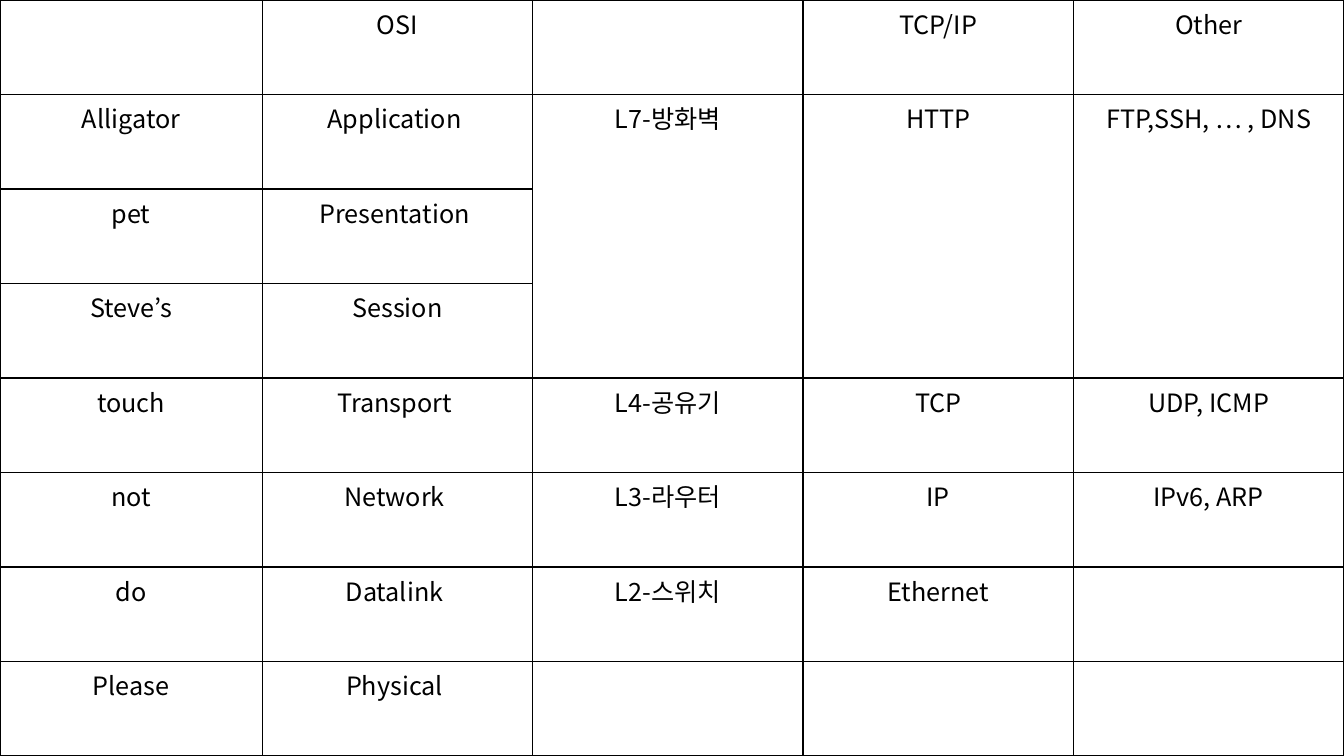
from lxml import etree
from pptx import Presentation
from pptx.dml.color import RGBColor
from pptx.enum.text import PP_ALIGN
from pptx.oxml.ns import qn
from pptx.util import Inches, Pt

CENTER = PP_ALIGN.CENTER
COLORS = {"ink": "000000", "paper": "FFFFFF"}
FONT = "Noto Sans CJK KR"
SIZE = 18
WIDE, HIGH = 13.33, 7.5
FIRST = 2.6
ROWS = [
    ("", "OSI", "", "TCP/IP", "Other"),
    ("Alligator", "Application ", "L7-방화벽", "HTTP", "FTP,SSH, … , DNS"),
    ("pet", "Presentation ", "", "", ""),
    ("Steve’s", "Session", "", "", ""),
    ("touch", "Transport ", "L4-공유기", "TCP", "UDP, ICMP"),
    ("not", "Network ", "L3-라우터", "IP", "IPv6, ARP"),
    ("do", "Datalink ", "L2-스위치", "Ethernet", ""),
    ("Please", "Physical ", "", "", ""),
]
TOP, END = 1, 3
MERGED = (2, 3, 4)


def add_edges(cell):
    """Draw a thin line on all four sides of a cell."""
    props = cell._tc.get_or_add_tcPr()
    for side in ("lnL", "lnR", "lnT", "lnB"):
        line = etree.SubElement(props, qn(f"a:{side}"), w=str(Pt(1)))
        fill = etree.SubElement(line, qn("a:solidFill"))
        etree.SubElement(fill, qn("a:srgbClr"), val=COLORS["ink"])


def set_text(cell, text):
    """Write centred text in a cell."""
    para = cell.text_frame.paragraphs[0]
    para.text = text
    para.alignment = CENTER
    for run in para.runs:
        run.font.size = Pt(SIZE)
        run.font.color.rgb = RGBColor.from_string(COLORS["ink"])
        run.font.name = FONT
        etree.SubElement(run._r.get_or_add_rPr(), qn("a:ea"), typeface=FONT)


def main():
    """Build the slide with the table of network layers."""
    deck = Presentation()
    deck.slide_width, deck.slide_height = Inches(WIDE), Inches(HIGH)
    slide = deck.slides.add_slide(deck.slide_layouts[6])
    count = len(ROWS[0])
    frame = slide.shapes.add_table(
        len(ROWS), count, 0, 0, Inches(WIDE), Inches(HIGH))
    table = frame.table
    table.first_row = table.horz_banding = False
    for num, col in enumerate(table.columns):
        col.width = Inches((WIDE - FIRST) / (count - 1) if num else FIRST)
    for row in table.rows:
        row.height = Inches(HIGH / len(ROWS))
    for row, texts in enumerate(ROWS):
        for col, text in enumerate(texts):
            cell = table.cell(row, col)
            add_edges(cell)
            cell.fill.solid()
            cell.fill.fore_color.rgb = RGBColor.from_string(COLORS["paper"])
            if text:
                set_text(cell, text)
    for col in MERGED:
        table.cell(TOP, col).merge(table.cell(END, col))
    deck.save("out.pptx")


if __name__ == "__main__":
    main()
